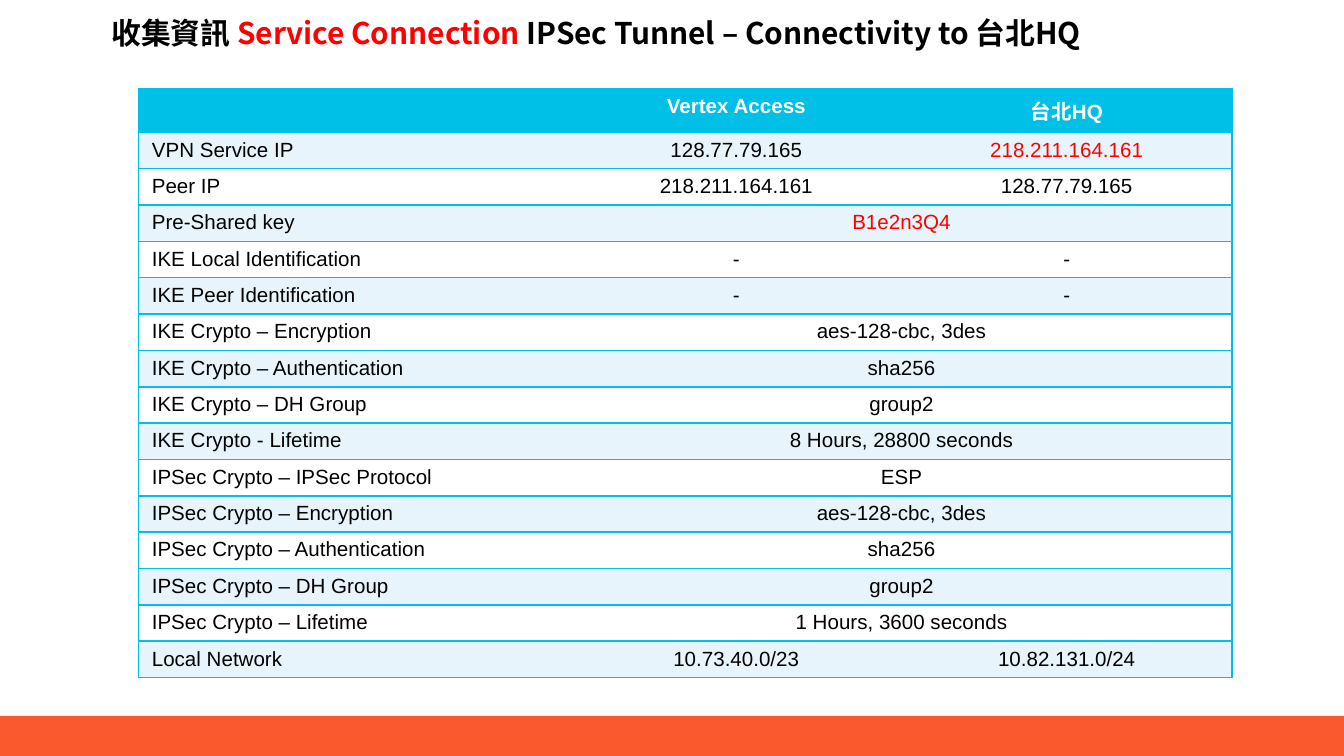
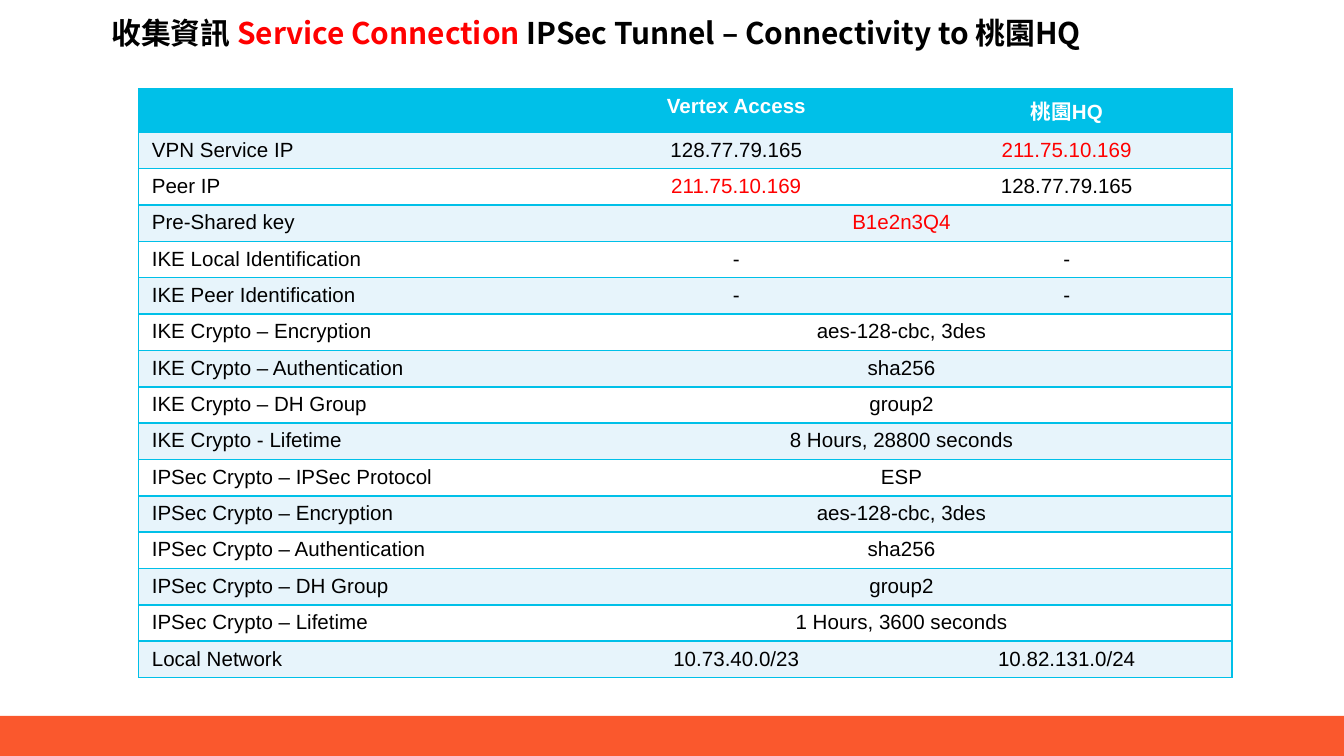
"""Build two slides that list the IPSec tunnel settings of each site."""
from dataclasses import dataclass

import pptx
import pptx.dml.color
import pptx.enum.shapes
import pptx.enum.text
import pptx.oxml.ns
import pptx.util
from lxml import etree

PX = 914400 / 192
WIDE, HIGH = 1920, 1080
BAND_TOP = 1023
COLS = (618, 472, 472)
HEAD_ROW, BODY_ROW = 62, 52
PAD_X, PAD_Y = 19, 9

BLACK, WHITE, RED = "000000", "FFFFFF", "FF0000"
ORANGE, CYAN, PALE = "FA582D", "00C0E8", "E7F4FB"
SANS, HAN = "Arial", "Noto Sans CJK TC"
GATE = "128.77.79.165"

LEFT = pptx.enum.text.PP_ALIGN.LEFT
CENTER = pptx.enum.text.PP_ALIGN.CENTER


@dataclass(frozen=True)
class Site:
    name: str
    ip: str
    peer: str


@dataclass(frozen=True)
class Item:
    text: str
    color: str = BLACK
    bold: bool = False


@dataclass(frozen=True)
class Row:
    label: str
    items: tuple[Item, ...]


SITES = (
    Site("台北HQ", "218.211.164.161", BLACK),
    Site("桃園HQ", "211.75.10.169", RED),
)

COMMON = (
    Row("Pre-Shared key", (Item("B1e2n3Q4", RED),)),
    Row("IKE Local Identification", (Item("-"), Item("-"))),
    Row("IKE Peer Identification", (Item("-"), Item("-"))),
    Row("IKE Crypto – Encryption", (Item("aes-128-cbc, 3des"),)),
    Row("IKE Crypto – Authentication", (Item("sha256"),)),
    Row("IKE Crypto – DH Group", (Item("group2"),)),
    Row("IKE Crypto - Lifetime", (Item("8 Hours, 28800 seconds"),)),
    Row("IPSec Crypto – IPSec Protocol", (Item("ESP"),)),
    Row("IPSec Crypto – Encryption", (Item("aes-128-cbc, 3des"),)),
    Row("IPSec Crypto – Authentication", (Item("sha256"),)),
    Row("IPSec Crypto – DH Group", (Item("group2"),)),
    Row("IPSec Crypto – Lifetime", (Item("1 Hours, 3600 seconds"),)),
    Row("Local Network", (Item("10.73.40.0/23"), Item("10.82.131.0/24"))),
)


def emu(px: int) -> pptx.util.Emu:
    return pptx.util.Emu(round(px * PX))


def rgb(code: str) -> pptx.dml.color.RGBColor:
    return pptx.dml.color.RGBColor.from_string(code)


def child(node, tag: str, **attrs: str):
    return etree.SubElement(node, pptx.oxml.ns.qn(tag), attrs)


def paint(shape, color: str) -> None:
    shape.fill.solid()
    shape.fill.fore_color.rgb = rgb(color)


def write(frame, text: str, *, size: int = 11, font: str = SANS,
          color: str = BLACK, bold: bool = False, align=LEFT) -> None:
    para = frame.paragraphs[0]
    para.alignment = align
    if not text:
        child(para._p, "a:endParaRPr", sz=str(size * 100))
        return
    run = para.add_run()
    run.text = text
    run.font.size = pptx.util.Pt(size)
    run.font.bold = bold
    run.font.color.rgb = rgb(color)
    run.font.name = font
    child(run.font._element, "a:ea", typeface=HAN)


def edge(cell, sides: str) -> None:
    props = cell._tc.get_or_add_tcPr()
    for side in "LRTB":
        line = child(props, f"a:ln{side}", w=str(pptx.util.Pt(1)))
        if side in sides:
            fill = child(line, "a:solidFill")
            child(fill, "a:srgbClr", val=CYAN)
        else:
            child(line, "a:noFill")


def add_band(slide) -> None:
    band = slide.shapes.add_shape(
        pptx.enum.shapes.MSO_SHAPE.RECTANGLE,
        emu(0), emu(BAND_TOP), emu(WIDE), emu(HIGH - BAND_TOP))
    band.shadow.inherit = False
    paint(band, ORANGE)
    band.line.fill.background()


def add_title(slide, name: str) -> None:
    title = slide.shapes.title
    title.left, title.top = emu(140), emu(0)
    title.width, title.height = emu(1636), emu(94)
    frame = title.text_frame
    frame.word_wrap = True
    frame.auto_size = pptx.enum.text.MSO_AUTO_SIZE.NONE
    frame.vertical_anchor = pptx.enum.text.MSO_ANCHOR.MIDDLE
    frame.margin_left = frame.margin_right = emu(PAD_X)
    frame.margin_top = frame.margin_bottom = emu(PAD_X)
    for text, color in (
        ("收集資訊 ", BLACK),
        ("Service Connection", RED),
        (f" IPSec Tunnel – Connectivity to {name}", BLACK),
    ):
        write(frame, text, size=16, font=HAN, color=color, bold=True)


def fill_row(table, index: int, row: Row) -> None:
    cells = [table.cell(index, col) for col in range(len(COLS))]
    shade = CYAN if index == 0 else PALE if index % 2 else WHITE
    items = (Item(row.label), *row.items)
    whole = len(items) < len(cells)
    if whole:
        cells[1].merge(cells[2])
        items += (Item(""),)
    for col, (cell, item) in enumerate(zip(cells, items)):
        first, last = col == 0, col == 2 or (whole and col == 1)
        cell.margin_left = cell.margin_right = emu(PAD_X)
        cell.margin_top = cell.margin_bottom = emu(PAD_Y)
        edge(cell, "TB" + "L" * first + "R" * last)
        paint(cell, shade)
        write(cell.text_frame, item.text, color=item.color, bold=item.bold,
              align=LEFT if first else CENTER)


def add_grid(slide, site: Site) -> None:
    rows = (
        Row("", (Item("Vertex Access", WHITE, True),
                 Item(site.name, WHITE, True))),
        Row("VPN Service IP", (Item(GATE), Item(site.ip, RED))),
        Row("Peer IP", (Item(site.ip, site.peer), Item(GATE))),
        *COMMON,
    )
    tall = HEAD_ROW + BODY_ROW * (len(rows) - 1)
    table = slide.shapes.add_table(
        len(rows), len(COLS), emu(198), emu(127),
        emu(sum(COLS)), emu(tall)).table
    table.first_row = table.horz_banding = False
    for column, width in zip(table.columns, COLS):
        column.width = emu(width)
    for index, row in enumerate(rows):
        table.rows[index].height = emu(BODY_ROW if index else HEAD_ROW)
        fill_row(table, index, row)


def main() -> None:
    deck = pptx.Presentation()
    deck.slide_width, deck.slide_height = emu(WIDE), emu(HIGH)
    for site in SITES:
        slide = deck.slides.add_slide(deck.slide_layouts[5])
        add_band(slide)
        add_title(slide, site.name)
        add_grid(slide, site)
    deck.save("out.pptx")


if __name__ == "__main__":
    main()
